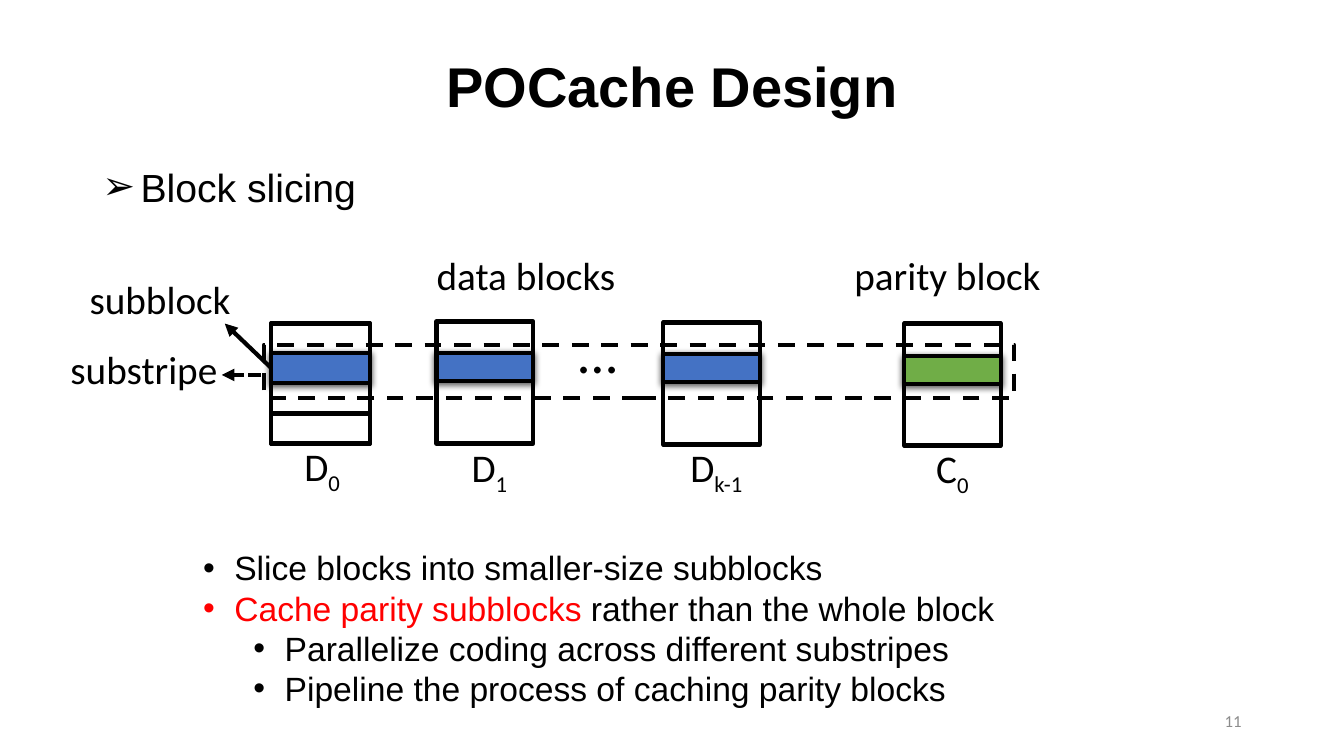
"""Build the block slicing slide on a grid of 40 columns by 22.5 rows."""
import pptx
import pptx.util
import pptx.dml.color
import pptx.enum.dml
import pptx.enum.shapes
import pptx.enum.text
import pptx.oxml.ns
import lxml.etree

COLORS = {"ink": "000000", "data": "4472C4", "parity": "70AD47",
          "accent": "FF0000", "page": "8C8C8C"}
COLUMNS, ROWS = 40, 22.5
CELL = pptx.util.Inches(1) / 3
LINE_WIDTH = pptx.util.Pt(3)

TITLE = ("POCache Design", (2.75, 1.2, 34.5, 2.94))
HEADING = ("Block slicing", (2.75, 4.7, 34.5, 3.45))
PAGE = ("11", (28.25, 20.85, 9, 1.2))
CAPTIONS = [
    ("data blocks", (12.7, 7.33, 7.08, 1.72), 28, "l"),
    ("parity block", (25.08, 7.33, 6.24, 1.72), 28, "ctr"),
    ("…", (16.92, 9.3, 1.41, 2.32), 40, "l"),
    ("subblock", (2.37, 8.05, 5.34, 1.72), 28, "l"),
    ("substripe", (1.8, 10.13, 5.34, 1.72), 28, "l"),
]
BLOCKS = [
    ("D", "0", (8.07, 9.63, 2.94, 3.57), (10.5, 0.9), "data", (8.76, 13.02, 2.46)),
    ("D", "1", (12.99, 9.57, 2.88, 3.63), (10.5, 0.84), "data", (13.74, 13.05, 1.83)),
    ("D", "k-1", (19.74, 9.6, 2.88, 3.63), (10.53, 0.84), "data", (20.25, 13.05, 2.55)),
    ("C", "0", (26.91, 9.63, 2.88, 3.63), (10.59, 0.84), "parity", (27.57, 13.08, 1.68)),
]
SUBSTRIPE = (7.86, 10.26, 22.32, 1.59)
SUBBLOCK_ARROW = ((8.07, 10.95), (6.69, 9.63))
SUBSTRIPE_ARROW = ((7.77, 11.16), (6.6, 11.16))
POINTS_PLACE = (2.75, 16.14, 34.5, 5.16)
POINTS = [
    (2, 1.31, [("Slice blocks into smaller-size subblocks", "ink")]),
    (2, 1.31, [("Cache parity subblocks", "accent"),
               (" rather than the whole block", "ink")]),
    (3, 1.81, [("Parallelize coding across different substripes", "ink")]),
    (3, 1.81, [("Pipeline the process of caching parity blocks", "ink")]),
]

ALIGN = {"l": pptx.enum.text.PP_ALIGN.LEFT,
         "ctr": pptx.enum.text.PP_ALIGN.CENTER,
         "r": pptx.enum.text.PP_ALIGN.RIGHT}
DASH = pptx.enum.dml.MSO_LINE


def grid(*cells):
    return [round(cell * CELL) for cell in cells]


def rgb(name):
    return pptx.dml.color.RGBColor.from_string(COLORS[name])


def add_xml(parent, tag, **attributes):
    return lxml.etree.SubElement(parent, pptx.oxml.ns.qn(tag), attributes)


def add_frame(slide, place, middle=False):
    frame = slide.shapes.add_textbox(*grid(*place)).text_frame
    frame.word_wrap = True
    if middle:
        frame.vertical_anchor = pptx.enum.text.MSO_ANCHOR.MIDDLE
    return frame


def add_run(paragraph, text, size, font="Calibri", color="ink"):
    run = paragraph.add_run()
    run.text = text
    run.font.size = pptx.util.Pt(size)
    run.font.name = font
    run.font.color.rgb = rgb(color)
    return run


def add_label(slide, text, place, size, align="l", font="Calibri", color="ink", middle=False):
    paragraph = add_frame(slide, place, middle).paragraphs[0]
    paragraph.alignment = ALIGN[align]
    return paragraph, add_run(paragraph, text, size, font, color)


def set_bullet(paragraph, mark, margin, hang):
    properties = paragraph._p.get_or_add_pPr()
    properties.set("marL", str(pptx.util.Inches(margin)))
    properties.set("indent", str(-pptx.util.Inches(hang)))
    add_xml(properties, "a:buFont", typeface="Arial")
    add_xml(properties, "a:buChar", char=mark)


def style_line(line, dash=None):
    line.color.rgb = rgb("ink")
    line.width = LINE_WIDTH
    if dash:
        line.dash_style = dash


def add_box(slide, place, fill=None, dash=None):
    box = slide.shapes.add_shape(pptx.enum.shapes.MSO_SHAPE.RECTANGLE, *grid(*place))
    box.shadow.inherit = False
    style_line(box.line, dash)
    if not fill:
        box.fill.background()
        return
    box.fill.solid()
    box.fill.fore_color.rgb = rgb(fill)
    effects = box._element.spPr.find(pptx.oxml.ns.qn("a:effectLst"))
    shadow = add_xml(effects, "a:outerShdw", blurRad=str(pptx.util.Pt(4.5)),
                     dist=str(pptx.util.Pt(1.5)), dir="5400000",
                     algn="ctr", rotWithShape="0")
    shade = add_xml(shadow, "a:srgbClr", val=COLORS["ink"])
    add_xml(shade, "a:alpha", val="63000")


def add_arrow(slide, start, end, dash=None):
    arrow = slide.shapes.add_connector(
        pptx.enum.shapes.MSO_CONNECTOR.STRAIGHT, *grid(*start, *end))
    style_line(arrow.line, dash)
    add_xml(arrow.line._get_or_add_ln(), "a:tailEnd", type="triangle")
    add_xml(arrow._element.spPr, "a:effectLst")


def add_block(slide, letter, index, place, band, fill, label):
    left, top, width, height = place
    add_box(slide, place)
    if (letter, index) == ("D", "0"):
        for row in (0, 3):
            add_box(slide, (left, top + row * height / 4, width, height / 4))
    add_box(slide, (left, band[0], width, band[1]), fill)
    paragraph, _ = add_label(slide, letter, (*label, 1.72), 28)
    subscript = add_run(paragraph, index, 28)
    subscript.font._element.set("baseline", "-25000")


def main():
    deck = pptx.Presentation()
    deck.slide_width, deck.slide_height = grid(COLUMNS, ROWS)
    slide = deck.slides.add_slide(deck.slide_layouts[6])

    title, title_run = add_label(slide, *TITLE, 40, "ctr", "Arial", middle=True)
    title.line_spacing = 0.9
    title_run.font.bold = True
    heading, _ = add_label(slide, *HEADING, 28, font="Arial")
    heading.space_before = pptx.util.Pt(10)
    set_bullet(heading, "➢", 0.38, 0.38)
    add_label(slide, *PAGE, 12, "r", color="page", middle=True)

    add_box(slide, SUBSTRIPE, dash=DASH.DASH)
    for caption in CAPTIONS:
        add_label(slide, *caption)
    add_arrow(slide, *SUBSTRIPE_ARROW, DASH.SQUARE_DOT)
    for block in BLOCKS:
        add_block(slide, *block)
    add_arrow(slide, *SUBBLOCK_ARROW)

    frame = add_frame(slide, POINTS_PLACE)
    for number, (level, margin, runs) in enumerate(POINTS):
        point = frame.add_paragraph() if number else frame.paragraphs[0]
        point.level = level
        set_bullet(point, "•", margin, 0.31)
        for text, color in runs:
            add_run(point, text, 24, "Arial", color)

    deck.save("out.pptx")


if __name__ == "__main__":
    main()
